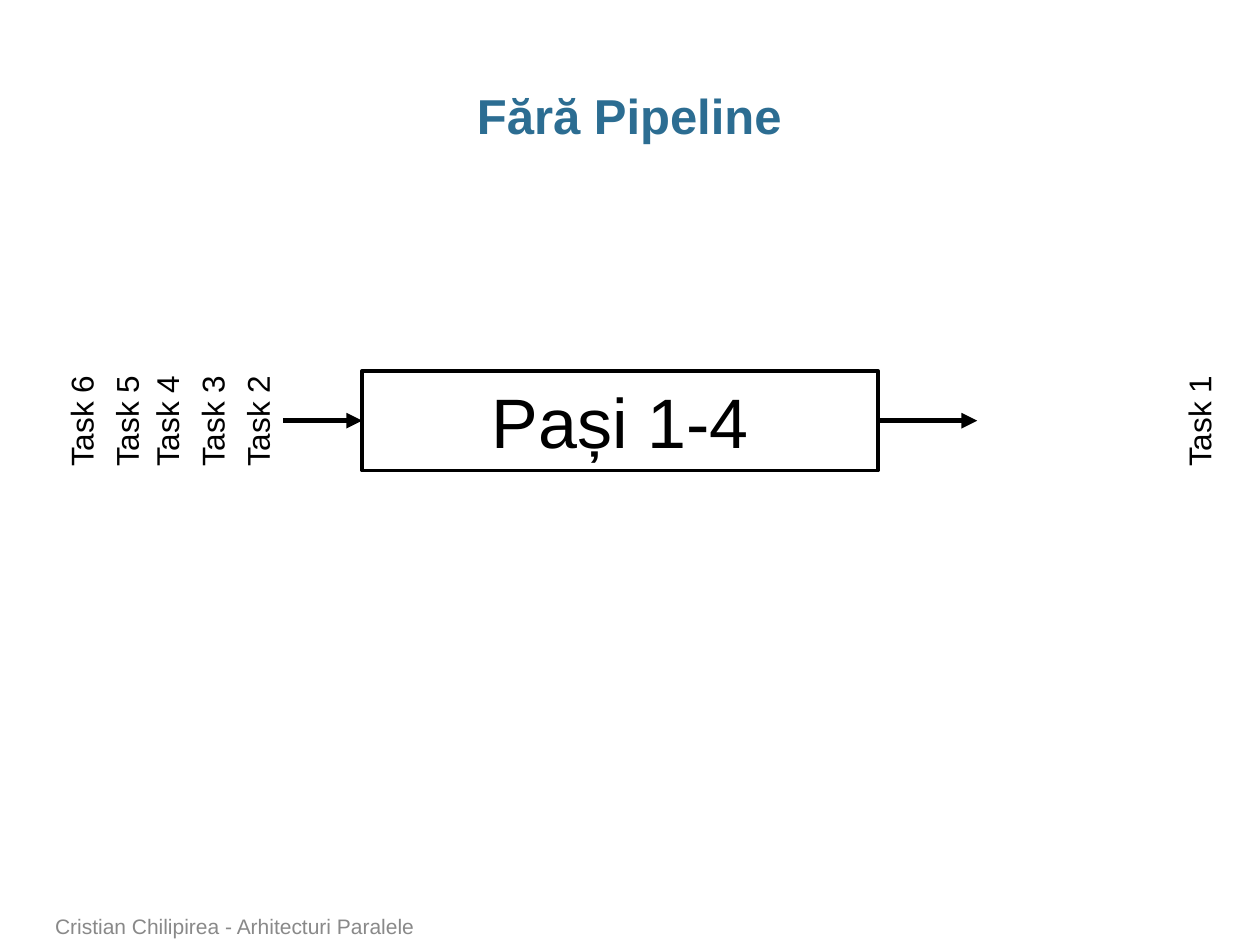
"""Build a slide showing tasks that run without a pipeline."""
from lxml import etree
from pptx import Presentation
from pptx.dml.color import RGBColor
from pptx.enum.shapes import MSO_CONNECTOR, MSO_SHAPE
from pptx.enum.text import MSO_ANCHOR, MSO_AUTO_SIZE, PP_ALIGN
from pptx.oxml.ns import qn
from pptx.util import Cm, Pt

RECT = MSO_SHAPE.RECTANGLE
STRAIGHT = MSO_CONNECTOR.STRAIGHT
MIDDLE, BOTTOM = MSO_ANCHOR.MIDDLE, MSO_ANCHOR.BOTTOM
CENTER, LEFT = PP_ALIGN.CENTER, PP_ALIGN.LEFT
FIT_SHAPE, NO_FIT = MSO_AUTO_SIZE.SHAPE_TO_FIT_TEXT, MSO_AUTO_SIZE.NONE

COLORS = {"title": "2C6D92", "ink": "000000", "footer": "898989", "paper": "FFFFFF"}
FLOW_Y = 8.48
TASK_LEFTS = {
    "Task 1": 22.99,
    "Task 2": 4.01,
    "Task 3": 3.1,
    "Task 4": 2.18,
    "Task 5": 1.37,
    "Task 6": 0.46,
}


def rgb(name):
    return RGBColor.from_string(COLORS[name])


def set_text(sp, text, size, color, align=LEFT, bold=False, **frame):
    tf = sp.text_frame
    for key, value in frame.items():
        setattr(tf, key, value)
    p = tf.paragraphs[0]
    p.alignment = align
    r = p.add_run()
    r.text = text
    font = {"name": "Arial", "size": Pt(size), "bold": bold}
    for key, value in font.items():
        setattr(r.font, key, value)
    r.font.color.rgb = rgb(color)
    return p


def add_title(s, text):
    sp = s.shapes.title
    box = {"left": 0.86, "top": 1.73, "width": 23.65, "height": 1.27}
    for key, value in box.items():
        setattr(sp, key, Cm(value))
    p = set_text(sp, text, 28, "title", CENTER, True, margin_left=0, margin_right=0,
                 vertical_anchor=MIDDLE, auto_size=NO_FIT)
    p.line_spacing = 0.95


def add_step(s, text, left, width, height):
    sp = s.shapes.add_shape(RECT, Cm(left), Cm(FLOW_Y - height / 2), Cm(width), Cm(height))
    sp.shadow.inherit = False
    sp.fill.solid()
    sp.fill.fore_color.rgb = rgb("paper")
    sp.line.color.rgb = rgb("ink")
    sp.line.width = Pt(2)
    set_text(sp, text, 40, "ink", CENTER, vertical_anchor=MIDDLE)


def add_arrow(s, start, end):
    sp = s.shapes.add_connector(STRAIGHT, Cm(start), Cm(FLOW_Y), Cm(end), Cm(FLOW_Y))
    sp.line.color.rgb = rgb("ink")
    sp.line.width = Pt(3)
    etree.SubElement(sp.line._get_or_add_ln(), qn("a:tailEnd"), type="triangle")
    etree.SubElement(sp._element.spPr, qn("a:effectLst"))


def add_task(s, text, left):
    height = 1.02
    sp = s.shapes.add_textbox(Cm(left), Cm(FLOW_Y - height / 2), Cm(2.36), Cm(height))
    sp.rotation = 270
    set_text(sp, text, 18, "ink", word_wrap=False, auto_size=FIT_SHAPE)


def add_footer(s, text):
    sp = s.shapes.add_textbox(Cm(0.86), Cm(18.34), Cm(18.72), Cm(0.71))
    set_text(sp, text, 12, "footer", word_wrap=True, vertical_anchor=BOTTOM)


def main():
    prs = Presentation()
    prs.slide_width, prs.slide_height = Cm(25.4), Cm(19.05)
    s = prs.slides.add_slide(prs.slide_layouts[5])
    add_title(s, "Fără Pipeline")
    add_step(s, "Pași 1-4", 7.3, 10.4, 2.01)
    for start, end in ((5.7, 7.3), (17.7, 19.7)):
        add_arrow(s, start, end)
    for text, left in TASK_LEFTS.items():
        add_task(s, text, left)
    add_footer(s, "Cristian Chilipirea - Arhitecturi Paralele")
    prs.save("out.pptx")


if __name__ == "__main__":
    main()
